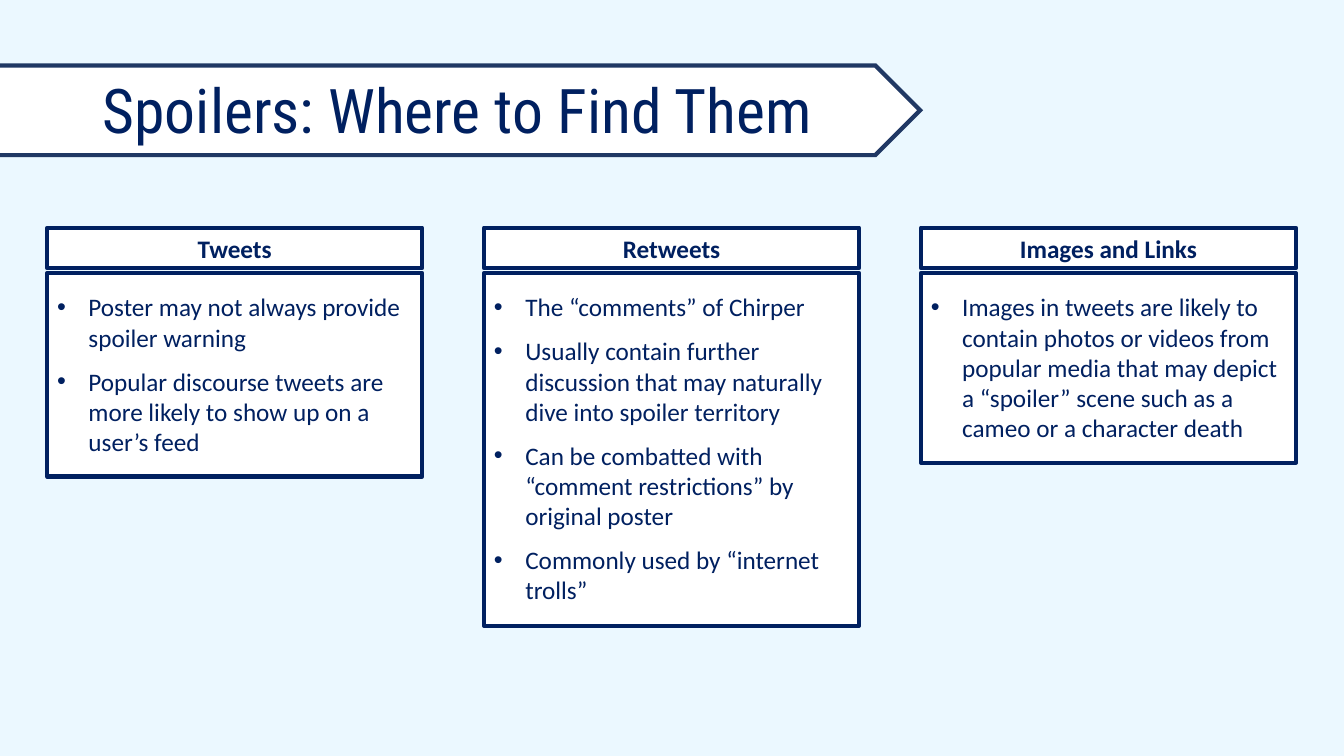
from lxml import etree
from pptx import Presentation
from pptx.dml.color import RGBColor
from pptx.enum import shapes, text
from pptx.oxml import ns
from pptx.util import Cm, Pt

NAVY = "002060"
WHITE = "FFFFFF"
COLUMN_LEFT, COLUMN_PITCH, COLUMN_WIDTH = 1.19, 11.01, 9.45
COLUMNS = [
    ("Tweets", 5.13, [
        "Poster may not always provide spoiler warning",
        "Popular discourse tweets are more likely to show up on a user’s feed",
    ]),
    ("Retweets", 8.89, [
        "The “comments” of Chirper",
        "Usually contain further discussion that may naturally dive into spoiler territory",
        "Can be combatted with “comment restrictions” by original poster",
        "Commonly used by “internet trolls”",
    ]),
    ("Images and Links", 4.78, [
        "Images in tweets are likely to contain photos or videos from popular media "
        "that may depict a “spoiler” scene such as a cameo or a character death",
    ]),
]


def color(value):
    """Turn a hex string into a colour."""
    return RGBColor.from_string(value)


def set_font(paragraph, name, size, bold=False):
    """Set the navy font of a paragraph."""
    font = paragraph.font
    font.name, font.size, font.bold = name, Pt(size), bold
    font.color.rgb = color(NAVY)


def add_panel(slide, kind, left, top, width, height, outline=NAVY):
    """Add a white outlined shape."""
    shape = slide.shapes.add_shape(kind, Cm(left), Cm(top), Cm(width), Cm(height))
    shape.shadow.inherit = False
    shape.fill.solid()
    shape.fill.fore_color.rgb = color(WHITE)
    shape.line.color.rgb = color(outline)
    shape.line.width = Pt(3)
    return shape


def add_title(slide, title):
    """Add the arrow banner and the title over it."""
    banner = add_panel(slide, shapes.MSO_SHAPE.PENTAGON, -0.38, 1.65, 23.57, 2.26, "203864")
    line = banner.line._get_or_add_ln()
    etree.SubElement(line, ns.qn("a:miter"), lim="800000")
    frame = slide.shapes.add_textbox(Cm(2.34), Cm(1.02), Cm(29.21), Cm(3.68)).text_frame
    frame.word_wrap = True
    frame.vertical_anchor = text.MSO_ANCHOR.MIDDLE
    paragraph = frame.paragraphs[0]
    paragraph.text = title
    paragraph.line_spacing = 0.9
    set_font(paragraph, "Roboto Condensed", 44)


def add_heading(slide, left, heading):
    """Add the heading box of a column."""
    shape = add_panel(slide, shapes.MSO_SHAPE.RECTANGLE, left, 5.74, COLUMN_WIDTH, 1.02)
    paragraph = shape.text_frame.paragraphs[0]
    paragraph.text = heading
    paragraph.alignment = text.PP_ALIGN.CENTER
    set_font(paragraph, "Calibri", 18, bold=True)


def add_bullets(slide, left, height, bullets):
    """Add the bulleted box of a column."""
    shape = add_panel(slide, shapes.MSO_SHAPE.RECTANGLE, left, 6.88, COLUMN_WIDTH, height)
    frame = shape.text_frame
    frame.vertical_anchor = text.MSO_ANCHOR.TOP
    frame.margin_top = Cm(0.47)
    for index, bullet in enumerate(bullets):
        paragraph = frame.add_paragraph() if index else frame.paragraphs[0]
        paragraph.text = bullet
        paragraph.alignment = text.PP_ALIGN.LEFT
        if index:
            paragraph.space_before = Pt(9.8)
        properties = paragraph._p.get_or_add_pPr()
        properties.set("marL", str(Cm(0.79)))
        properties.set("indent", str(-Cm(0.79)))
        etree.SubElement(properties, ns.qn("a:buFont"), typeface="Arial")
        etree.SubElement(properties, ns.qn("a:buChar"), char="•")
        set_font(paragraph, "Calibri", 18)


def main():
    """Build the slide and save it."""
    presentation = Presentation()
    presentation.slide_width, presentation.slide_height = Cm(33.87), Cm(19.05)
    slide = presentation.slides.add_slide(presentation.slide_layouts[6])
    slide.background.fill.solid()
    slide.background.fill.fore_color.rgb = color("EBF8FF")
    add_title(slide, "Spoilers: Where to Find Them")
    for index, (heading, height, bullets) in enumerate(COLUMNS):
        left = COLUMN_LEFT + index * COLUMN_PITCH
        add_heading(slide, left, heading)
        add_bullets(slide, left, height, bullets)
    presentation.save("out.pptx")


if __name__ == "__main__":
    main()
